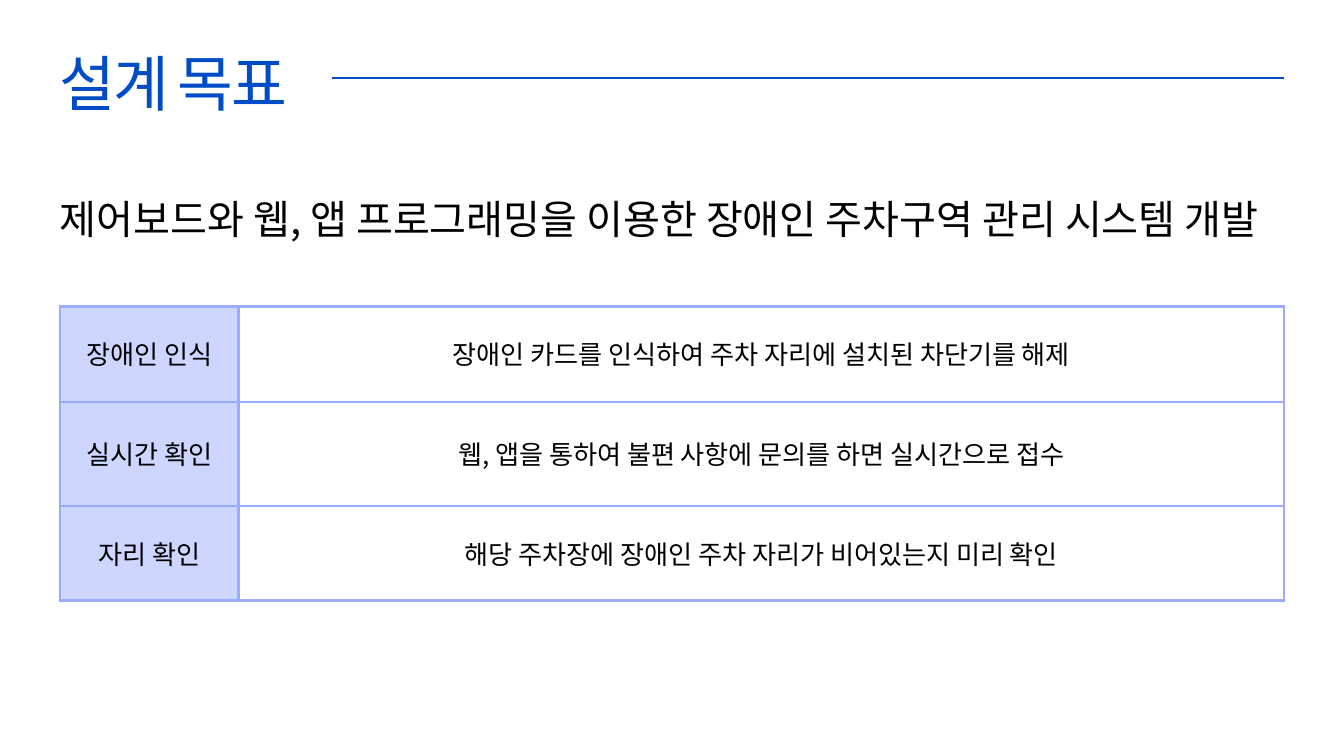
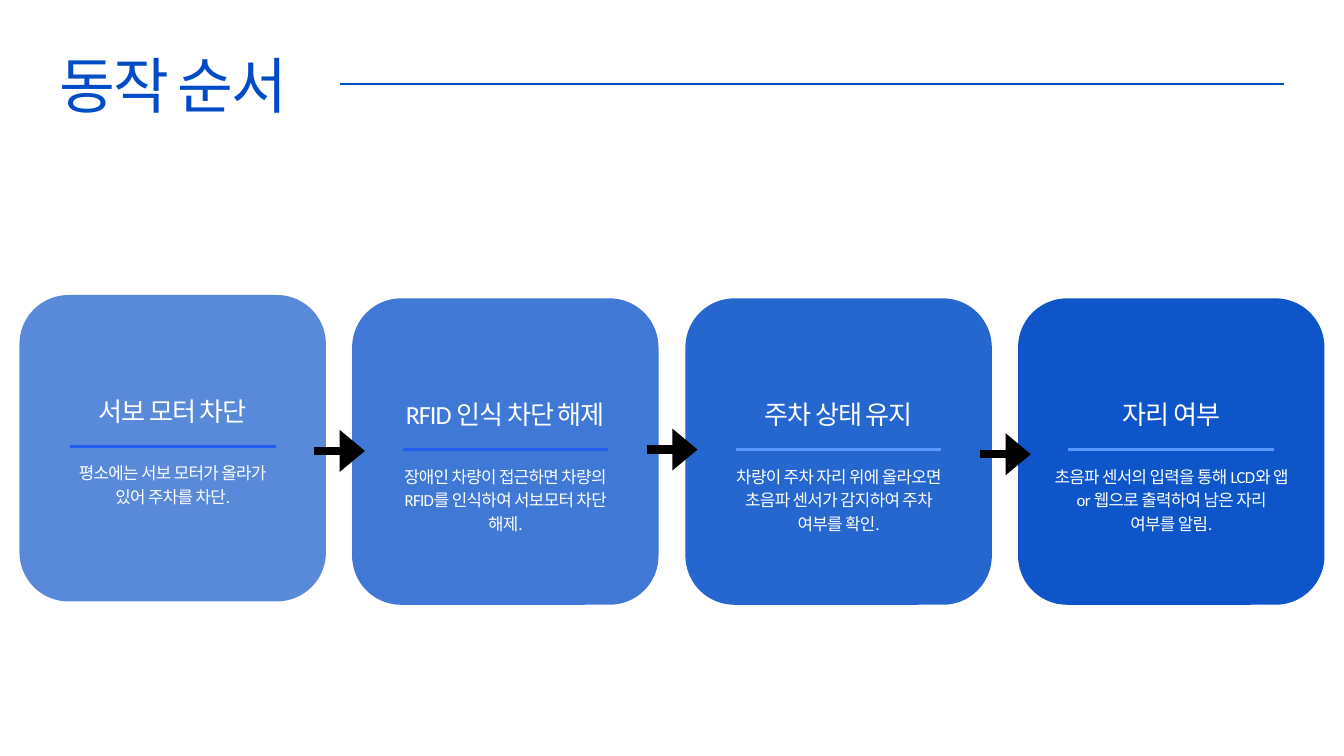
import pptx
import pptx.util
import pptx.dml.color
import pptx.enum.shapes
import pptx.enum.text
import pptx.oxml
import pptx.oxml.ns
import lxml.etree

SCALE = 9144  # EMU per px, 100 px to the inch
BLUE, BLACK, WHITE = "004CC7", "000000", "FFFFFF"
TINT, EDGE = "CDD6FF", "99ACFF"
DEEP, LIGHT = "215CEE", "5898FF"
LATIN, KOREAN = "Calibri", "Noto Sans CJK KR"
LEFT, RIGHT = 89, 1911

ALIGN = pptx.enum.text.PP_ALIGN
ANCHOR = pptx.enum.text.MSO_ANCHOR


def px(n):
    return pptx.util.Emu(n * SCALE)


def rgb(code):
    return pptx.dml.color.RGBColor.from_string(code)


def sub(node, tag, **attrs):
    return lxml.etree.SubElement(node, pptx.oxml.ns.qn(tag), **attrs)


class Deck:
    def __init__(self):
        self.prs = pptx.Presentation()
        self.prs.slide_width, self.prs.slide_height = px(2000), px(1125)
        self.slide = None

    def page(self, text, top, start, rule):
        """Add a slide with its heading and the rule beside it."""
        self.slide = self.prs.slides.add_slide(self.prs.slide_layouts[5])
        self.slide.background.fill.solid()
        self.slide.background.fill.fore_color.rgb = rgb(WHITE)
        title = self.slide.shapes.title
        title.left, title.top, title.width, title.height = map(px, (LEFT, top, 1081, 121))
        self.set_box(title.text_frame, [text], 65, 74.8, BLUE, LATIN, ALIGN.LEFT, -260)
        self.line(start, RIGHT, rule, BLUE, 2.25)

    def set_box(self, frame, texts, *style):
        frame.word_wrap = True
        frame.auto_size = pptx.enum.text.MSO_AUTO_SIZE.SHAPE_TO_FIT_TEXT
        frame.vertical_anchor = ANCHOR.TOP
        frame.margin_left = frame.margin_right = 0
        frame.margin_top = frame.margin_bottom = 0
        self.add_runs(frame, texts, *style)

    def add_runs(self, frame, texts, size, pitch, color, font, align, spc=0):
        for i, text in enumerate(texts):
            para = frame.add_paragraph() if i else frame.paragraphs[0]
            para.alignment = align
            para.line_spacing = pptx.util.Pt(pitch)
            run = para.add_run()
            run.text = text
            run.font.size = pptx.util.Pt(size)
            run.font.name = font
            run.font.color.rgb = rgb(color)
            props = run._r.get_or_add_rPr()
            sub(props, "a:ea", typeface=font)
            if spc:
                props.set("spc", str(spc))

    def text(self, box, texts, *style):
        shape = self.slide.shapes.add_textbox(*map(px, box))
        self.set_box(shape.text_frame, texts, *style)

    def line(self, start, end, y, color, width, arrow=False):
        line = self.slide.shapes.add_connector(
            pptx.enum.shapes.MSO_CONNECTOR.STRAIGHT, px(start), px(y), px(end), px(y))
        line.line.color.rgb = rgb(color)
        line.line.width = pptx.util.Pt(width)
        props = line._element.spPr
        if arrow:
            sub(props.find(pptx.oxml.ns.qn("a:ln")), "a:tailEnd",
                type="triangle", w="lg", len="med")
        sub(props, "a:effectLst")

    def card(self, left, top, side, alpha):
        card = self.slide.shapes.add_shape(
            pptx.enum.shapes.MSO_SHAPE.ROUNDED_RECTANGLE, *map(px, (left, top, side, side)))
        card.adjustments[0] = 0.16
        card.shadow.inherit = False
        card.fill.solid()
        card.fill.fore_color.rgb = rgb(BLUE)
        tone = card._element.spPr.find(".//" + pptx.oxml.ns.qn("a:srgbClr"))
        sub(tone, "a:alpha", val=str(alpha * 1000))
        card.line.fill.background()

    def border(self, cell):
        props = cell._tc.get_or_add_tcPr()
        for i, side in enumerate(("a:lnL", "a:lnR", "a:lnT", "a:lnB")):
            edge = sub(props, side, w=str(pptx.util.Pt(3)))
            sub(sub(edge, "a:solidFill"), "a:srgbClr", val=EDGE)
            props.insert(i, edge)

    def table(self, left, top, cols, rows, data):
        frame = self.slide.shapes.add_table(
            len(rows), len(cols), *map(px, (left, top, sum(cols), sum(rows))))
        table = frame.table
        table.first_row = table.horz_banding = False
        for col, width in zip(table.columns, cols):
            col.width = px(width)
        for r, (height, texts) in enumerate(zip(rows, data)):
            table.rows[r].height = px(height)
            table.cell(r, 1).merge(table.cell(r, len(cols) - 1))
            for c in range(len(cols)):
                cell = table.cell(r, c)
                if c:
                    cell.fill.background()
                else:
                    cell.fill.solid()
                    cell.fill.fore_color.rgb = rgb(TINT)
                self.border(cell)
            for c, text in enumerate(texts):
                cell = table.cell(r, c)
                cell.vertical_anchor = ANCHOR.MIDDLE
                cell.margin_left = cell.margin_right = px(21)
                cell.margin_top = cell.margin_bottom = px(21)
                self.add_runs(cell.text_frame, [text], 28, 39.2, BLACK, KOREAN, ALIGN.CENTER)


GOALS = [
    ("장애인 인식", "장애인 카드를 인식하여 주차 자리에 설치된 차단기를 해제"),
    ("실시간 확인", "웹, 앱을 통하여 불편 사항에 문의를 하면 실시간으로 접수"),
    ("자리 확인", "해당 주차장에 장애인 주차 자리가 비어있는지 미리 확인"),
]

# Top, opacity, rule colour, heading, body
STEPS = [
    (439, 65, DEEP, "서보 모터 차단",
     ["평소에는 서보 모터가 올라가", "있어 주차를 차단."]),
    (444, 75, DEEP, "RFID 인식 차단 해제",
     ["장애인 차량이 접근하면 차량의", "RFID를 인식하여 서보모터 차단 해제."]),
    (444, 85, LIGHT, "주차 상태 유지",
     ["차량이 주차 자리 위에 올라오면 초음파 센서가 감지하여 주차 여부를 확인."]),
    (444, 95, LIGHT, "자리 여부",
     ["초음파 센서의 입력을 통해 LCD와 앱 or 웹으로 출력하여 남은 자리 여부를 알림."]),
]


def main():
    deck = Deck()

    # Design goals
    deck.page("설계 목표", 72, 494, 116)
    deck.table(LEFT, 456, (266, 1071, 485), (142, 155, 141), GOALS)
    deck.text((LEFT, 278, 1822, 82),
              ["제어보드와 웹, 앱 프로그래밍을 이용한 장애인 주차구역 관리 시스템 개발"],
              43, 60.2, BLACK, KOREAN, ALIGN.LEFT)

    # Order of operation
    deck.page("동작 순서", 75, 506, 125)
    lefts = [29 + round(i * 1486 / 3) for i in range(len(STEPS))]
    for left, (top, alpha, color, head, body) in zip(lefts, STEPS):
        deck.card(left, top, 456, alpha)
        deck.line(left + 75, left + 381, top + 225, color, 3)
        deck.text((left + 54, top + 149, 348, 53), [head],
                  28, 33.6, WHITE, LATIN, ALIGN.CENTER, -110)
        deck.text((left + 54, top + 245, 348, 106), body,
                  18, 25.2, WHITE, LATIN, ALIGN.CENTER, -70)

    # Arrows between the steps
    for left, y in zip(lefts, (671, 669, 676)):
        deck.line(left + 439, left + 514, y, BLACK, 9, arrow=True)

    deck.prs.save("out.pptx")


if __name__ == "__main__":
    main()
